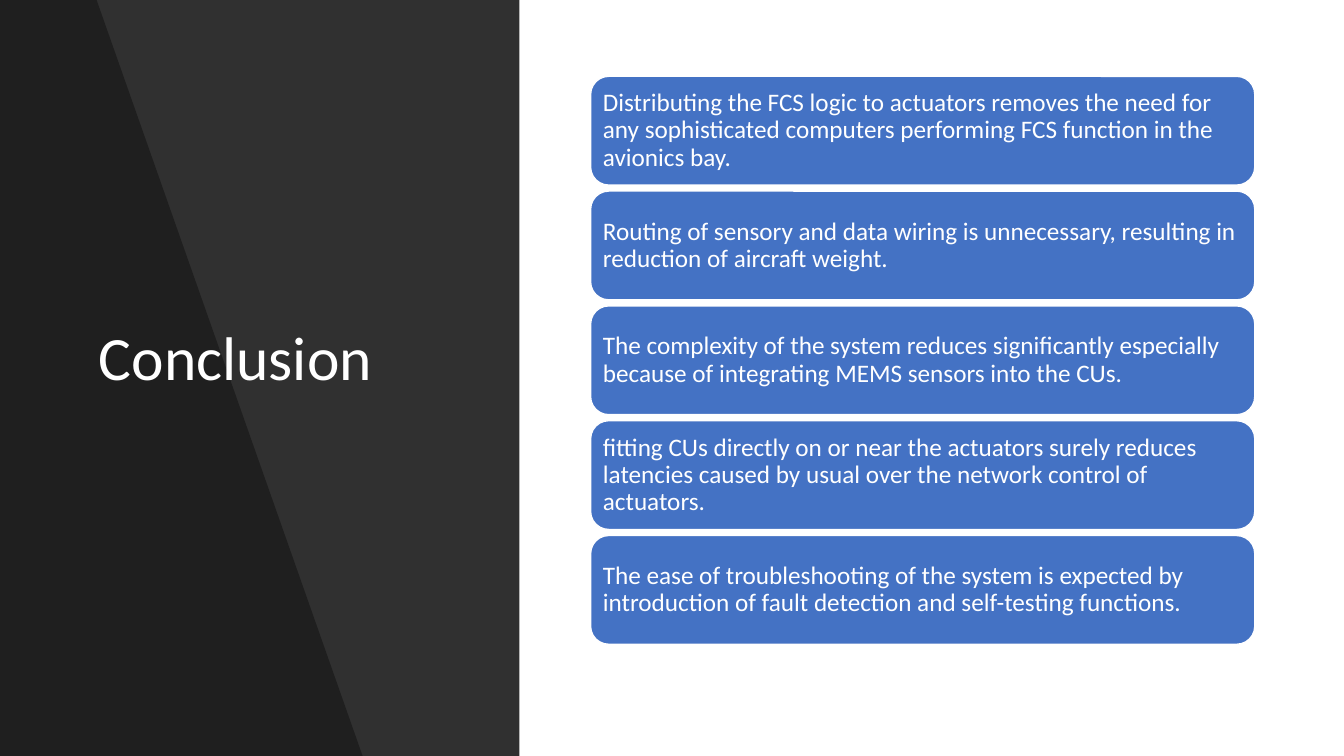
from lxml.etree import SubElement
from pptx import Presentation
from pptx.dml.color import RGBColor
from pptx.enum.shapes import MSO_SHAPE as Shape
from pptx.enum.text import MSO_ANCHOR as Anchor, MSO_AUTO_SIZE as AutoSize, PP_ALIGN as Align
from pptx.oxml.ns import qn
from pptx.util import Pt

COLORS = {"panel": "000000", "card": "4472C4", "white": "FFFFFF"}
CONCLUSIONS = [
    "Distributing the FCS logic to actuators removes the need for any sophisticated computers performing FCS function in the avionics bay.",
    "Routing of sensory and data wiring is unnecessary, resulting in reduction of aircraft weight.",
    "The complexity of the system reduces significantly especially because of integrating MEMS sensors into the CUs.",
    "fitting CUs directly on or near the actuators surely reduces latencies caused by usual over the network control of actuators.",
    "The ease of troubleshooting of the system is expected by introduction of fault detection and self-testing functions.",
]


def write_text(box, text, *, size, inset_x, inset_y):
    frame = box.text_frame
    frame.word_wrap = True
    frame.auto_size = AutoSize.NONE
    frame.vertical_anchor = Anchor.MIDDLE
    frame.margin_left = frame.margin_right = Pt(inset_x)
    frame.margin_top = frame.margin_bottom = Pt(inset_y)
    para = frame.paragraphs[0]
    para.alignment = Align.LEFT
    para.line_spacing = 0.9
    span = para.add_run()
    span.text = text
    span.font.name = "Calibri"
    span.font.size = Pt(size)
    span.font.color.rgb = RGBColor.from_string(COLORS["white"])


deck = Presentation()
deck.slide_width, deck.slide_height = Pt(960), Pt(540)
page = deck.slides.add_slide(deck.slide_layouts[5])
title = page.shapes.title

panel = page.shapes.add_shape(Shape.RECTANGLE, 0, 0, Pt(371), Pt(540))
outline = page.shapes.build_freeform(0, 0, scale=Pt(1))
outline.add_line_segments([(68.6, 0), (258.6, 540), (0, 540)], close=True)
wedge = outline.convert_to_shape()

for shade, opacity in ((panel, 81), (wedge, 35)):
    shade.shadow.inherit = False
    shade.line.fill.background()
    shade.fill.solid()
    shade.fill.fore_color.rgb = RGBColor.from_string(COLORS["panel"])
    color = shade.element.spPr.find(qn("a:solidFill"))[0]
    SubElement(color, qn("a:alpha"), val=str(opacity * 1000))
    title.element.addprevious(shade.element)

title.left, title.top, title.width, title.height = Pt(63.4), Pt(50.4), Pt(258.5), Pt(414)
write_text(title, "Conclusion", size=44, inset_x=7.2, inset_y=3.6)

card_left, card_top, card_width, card_height, card_gap = 421.9, 54.5, 474.4, 77.7, 4.3
for index, conclusion in enumerate(CONCLUSIONS):
    top = card_top + index * (card_height + card_gap)
    card = page.shapes.add_shape(
        Shape.ROUNDED_RECTANGLE, Pt(card_left), Pt(top), Pt(card_width), Pt(card_height)
    )
    card.shadow.inherit = False
    card.fill.solid()
    card.fill.fore_color.rgb = RGBColor.from_string(COLORS["card"])
    card.line.color.rgb = RGBColor.from_string(COLORS["white"])
    card.line.width = Pt(1)
    write_text(card, conclusion, size=18, inset_x=5, inset_y=5)

deck.save("out.pptx")
